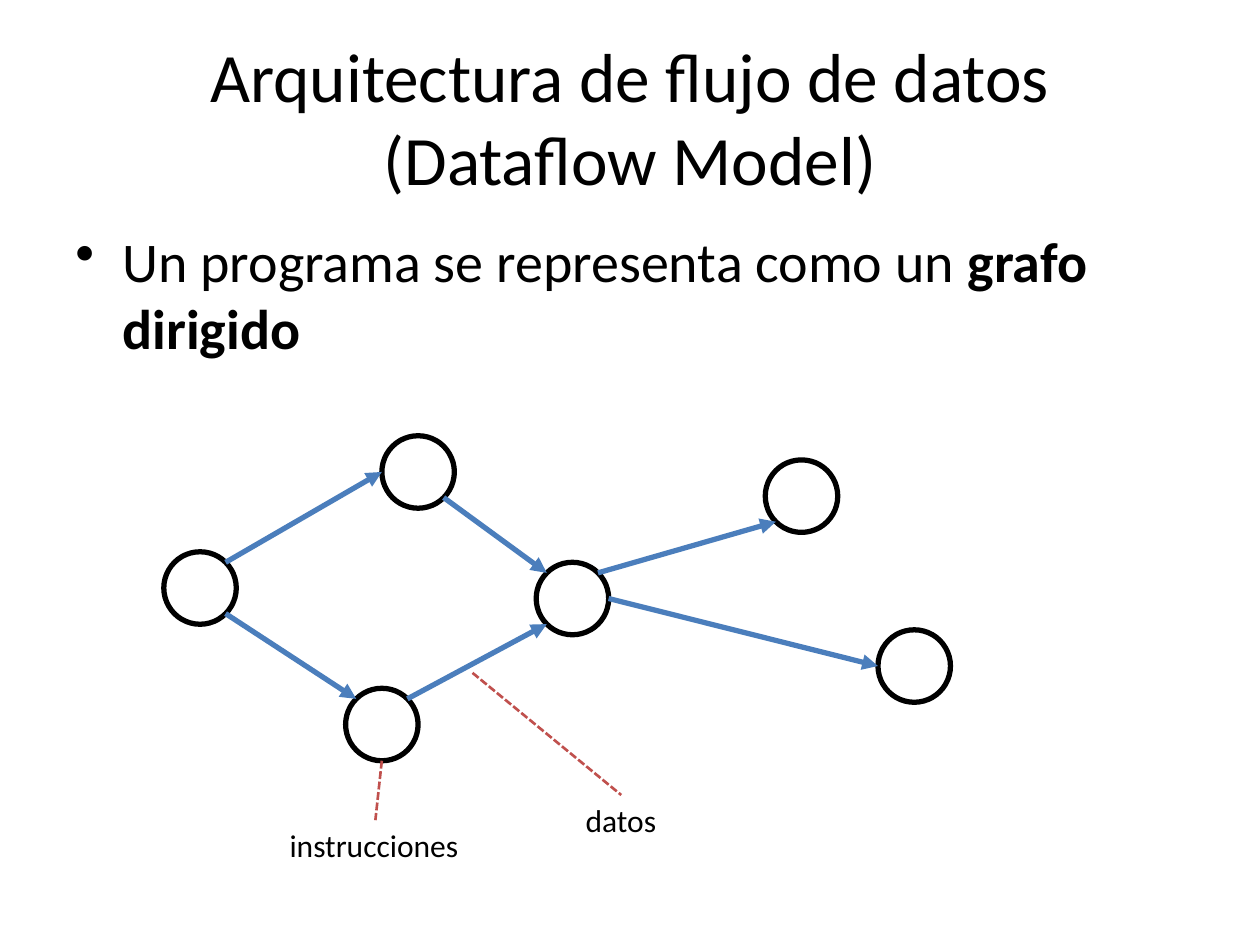
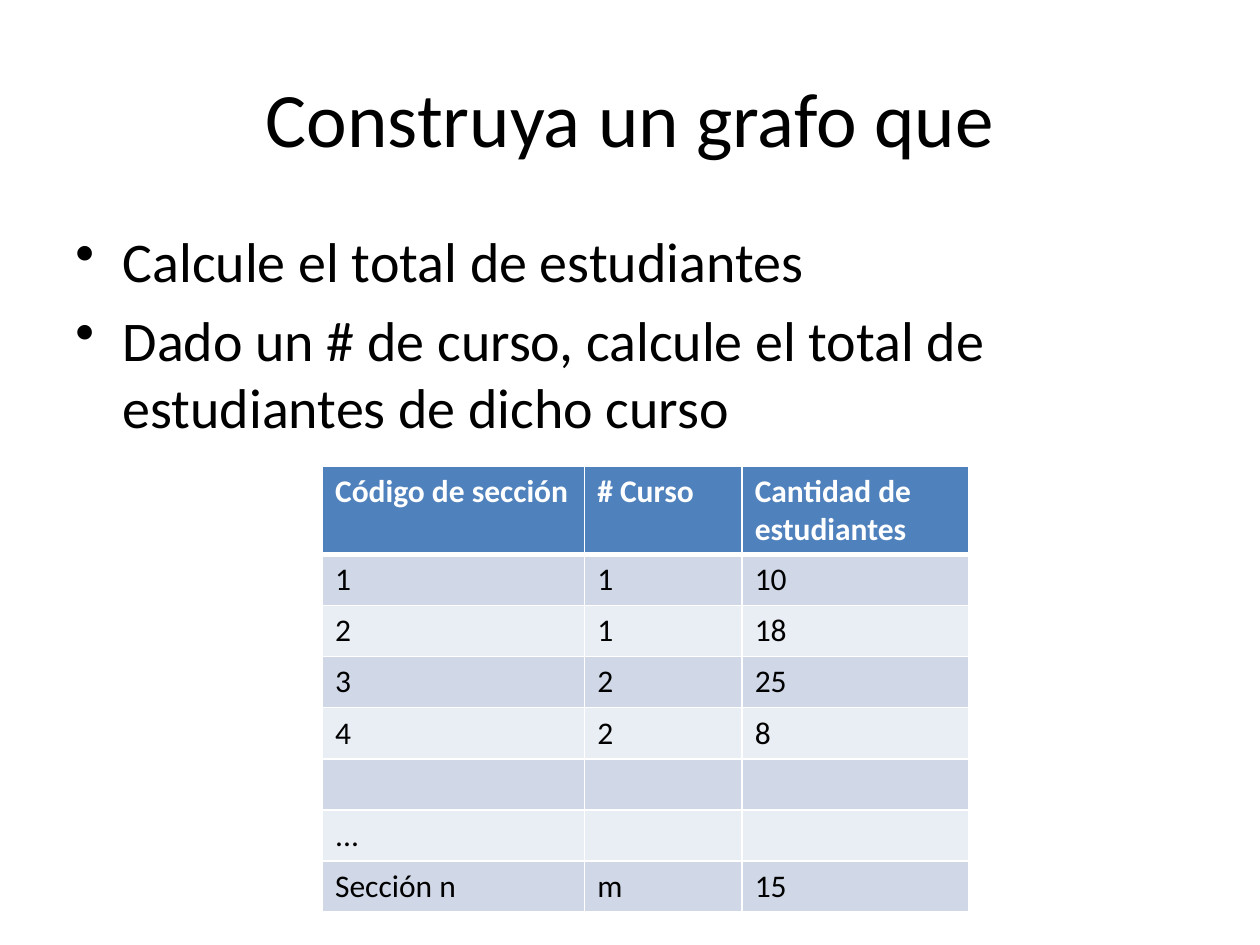
"""Builds two slides on the dataflow model: a directed graph and an exercise."""
from math import cos, radians, sin

from lxml import etree
from pptx import Presentation
from pptx.dml.color import RGBColor
from pptx.enum.dml import MSO_LINE
from pptx.enum.shapes import MSO_CONNECTOR, MSO_SHAPE
from pptx.enum.text import MSO_ANCHOR, PP_ALIGN
from pptx.oxml.ns import qn
from pptx.util import Pt

OVAL = MSO_SHAPE.OVAL
LINE = MSO_CONNECTOR.STRAIGHT
DASH = MSO_LINE.SQUARE_DOT
MIDDLE = MSO_ANCHOR.MIDDLE
TOP = MSO_ANCHOR.TOP
LEFT = PP_ALIGN.LEFT
CENTER = PP_ALIGN.CENTER

BLACK = RGBColor(0, 0, 0)
WHITE = RGBColor(255, 255, 255)
BLUE = RGBColor(0x4B, 0x7E, 0xBC)
RED = RGBColor(0xC0, 0x50, 0x4D)
HEAD = RGBColor(0x4F, 0x81, 0xBD)
BANDS = RGBColor(0xE9, 0xED, 0xF4), RGBColor(0xD0, 0xD8, 0xE8)
FONT = "Calibri"
RADIUS = 20.7


class Deck:
    """Holds the style, the presentation and the current slide."""

    def __init__(self):
        self.file = Presentation()
        self.file.slide_width, self.file.slide_height = Pt(720), Pt(540)

    def add_slide(self, title, size=44):
        self.slide = self.file.slides.add_slide(self.file.slide_layouts[6])
        self.shapes = self.slide.shapes
        frame = self.add_box(36, 21.6, 648, 90, MIDDLE)
        self.set_text(frame.paragraphs[0], title, size, align=CENTER)

    def add_box(self, x, y, w, h, anchor=TOP, wrap=True):
        frame = self.shapes.add_textbox(Pt(x), Pt(y), Pt(w), Pt(h)).text_frame
        frame.word_wrap = wrap
        frame.vertical_anchor = anchor
        return frame

    def set_text(self, para, text, size, color=BLACK, bold=False, align=LEFT):
        para.text = text
        para.alignment = align
        font = para.font
        font.name, font.size, font.bold = FONT, Pt(size), bold
        font.color.rgb = color

    def add_body(self, items):
        frame = self.add_box(36, 126, 648, 356.4)
        for i, (text, strong) in enumerate(items):
            para = frame.add_paragraph() if i else frame.paragraphs[0]
            self.set_text(para, text, 32)
            para.space_before = Pt(6.4)
            if strong:
                run = para.add_run()
                run.text = strong
                run.font.bold = True
            props = para._p.get_or_add_pPr()
            props.set("marL", str(Pt(27)))
            props.set("indent", str(-Pt(27)))
            mark = etree.Element(qn("a:buChar"), char="•")
            props.find(qn("a:defRPr")).addprevious(mark)

    def add_label(self, text, x, y, w):
        frame = self.add_box(x, y, w, 29, wrap=False)
        self.set_text(frame.paragraphs[0], text, 18)

    def add_node(self, x, y):
        side = Pt(2 * RADIUS)
        node = self.shapes.add_shape(OVAL, Pt(x - RADIUS), Pt(y - RADIUS), side, side)
        node.shadow.inherit = False
        node.fill.solid()
        node.fill.fore_color.rgb = WHITE
        node.line.color.rgb = BLACK
        node.line.width = Pt(3)

    def add_line(self, start, end, color, width, dash=None, arrow=False):
        link = self.shapes.add_connector(LINE, *map(Pt, start + end))
        link.line.color.rgb = color
        link.line.width = Pt(width)
        if dash:
            link.line.dash_style = dash
        props = link._element.spPr
        if arrow:
            etree.SubElement(props.find(qn("a:ln")), qn("a:tailEnd"), type="triangle")
        etree.SubElement(props, qn("a:effectLst"))

    def add_table(self, x, y, widths, heights, rows):
        table = self.shapes.add_table(
            len(rows), len(widths), Pt(x), Pt(y), Pt(sum(widths)), Pt(sum(heights))
        ).table
        table.first_row = table.horz_banding = False
        for col, width in zip(table.columns, widths):
            col.width = Pt(width)
        for r, (texts, height) in enumerate(zip(rows, heights)):
            table.rows[r].height = Pt(height)
            for c, text in enumerate(texts):
                cell = table.cell(r, c)
                cell.fill.solid()
                cell.fill.fore_color.rgb = BANDS[r % 2] if r else HEAD
                color = BLACK if r else WHITE
                self.set_text(cell.text_frame.paragraphs[0], text, 18, color, not r)
                self.set_edges(cell, top=3 if r == 1 else 1, bottom=1 if r else 3)

    def set_edges(self, cell, top, bottom):
        props = cell._tc.get_or_add_tcPr()
        for i, (side, width) in enumerate(zip("LRTB", (1, 1, top, bottom))):
            edge = etree.Element(qn("a:ln" + side), w=str(Pt(width)))
            fill = etree.SubElement(edge, qn("a:solidFill"))
            etree.SubElement(fill, qn("a:srgbClr"), val=str(WHITE))
            props.insert(i, edge)


def rim(center, angle):
    """Returns the point of a node's rim at an angle, clockwise from the right."""
    x, y = center
    turn = radians(angle)
    return x + RADIUS * cos(turn), y + RADIUS * sin(turn)


NODES = {
    "start": (114.3, 336),
    "upper": (238.9, 269.7),
    "join": (327.1, 342),
    "lower": (218.2, 414),
    "right": (522.4, 380.6),
    "high": (458, 283.5),
}
EDGES = [
    ("start", -45, "upper", 180),
    ("start", 45, "lower", 225),
    ("upper", 45, "join", 225),
    ("join", -45, "high", 135),
    ("join", 0, "right", 180),
    ("lower", -45, "join", 135),
]
ROWS = [
    ("Código de sección", "# Curso", "Cantidad de estudiantes"),
    ("1", "1", "10"),
    ("2", "1", "18"),
    ("3", "2", "25"),
    ("4", "2", "8"),
    ("", "", ""),
    ("...", "", ""),
    ("Sección n", "m", "15"),
]

deck = Deck()

deck.add_slide("Arquitectura de flujo de datos\n(Dataflow Model)", 39.6)
deck.add_body([("Un programa se representa como un ", "grafo dirigido")])
for spot in NODES.values():
    deck.add_node(*spot)
for tail, out, head, into in EDGES:
    deck.add_line(rim(NODES[tail], out), rim(NODES[head], into), BLUE, 3, arrow=True)
deck.add_label("instrucciones", 158.4, 468.7, 112.3)
deck.add_label("datos", 327.6, 454.3, 55.4)
deck.add_line(rim(NODES["lower"], 90), (214.5, 468.7), RED, 1.5, DASH)
deck.add_line((270, 384.5), (355, 454.3), RED, 1.5, DASH)

deck.add_slide("Construya un grafo que")
deck.add_body([
    ("Calcule el total de estudiantes", ""),
    ("Dado un # de curso, calcule el total de estudiantes de dicho curso", ""),
])
deck.add_table(184.3, 266.4, (149.8, 90, 129.6), [50] + [29.2] * 7, ROWS)

deck.file.save("out.pptx")
